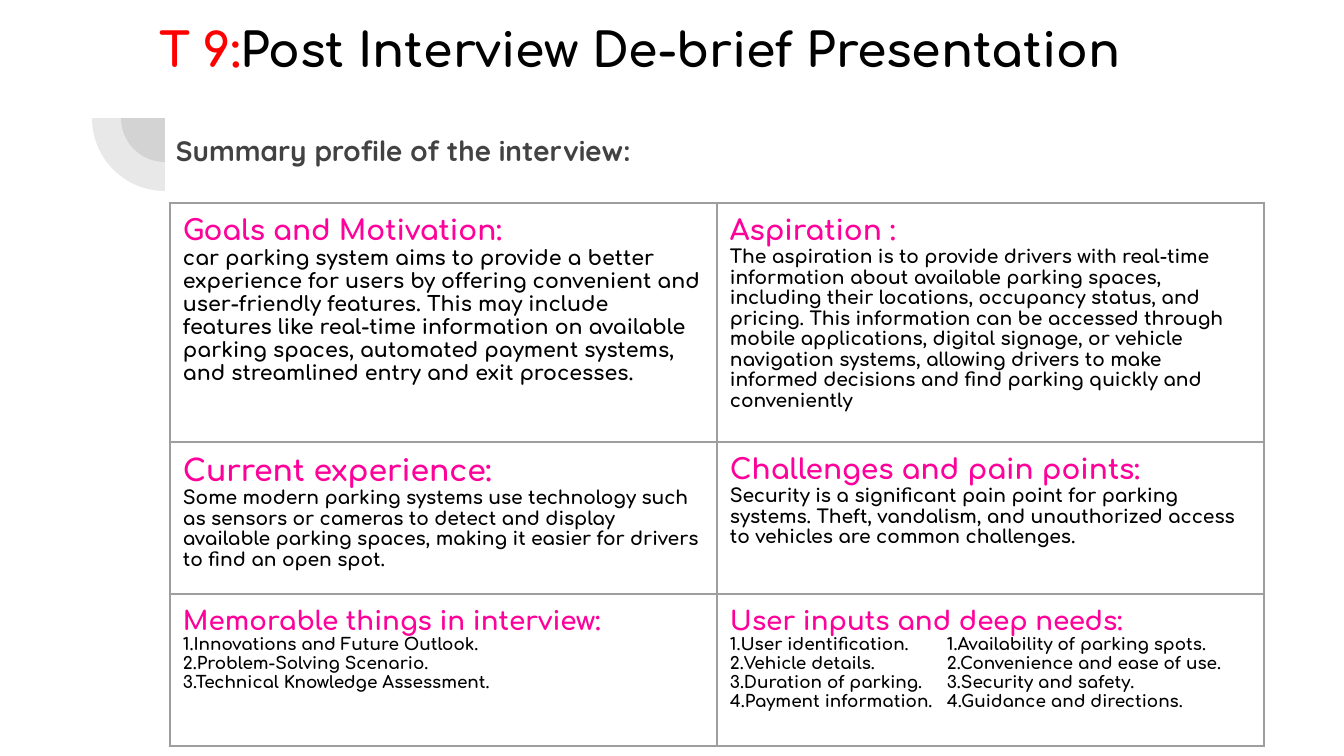
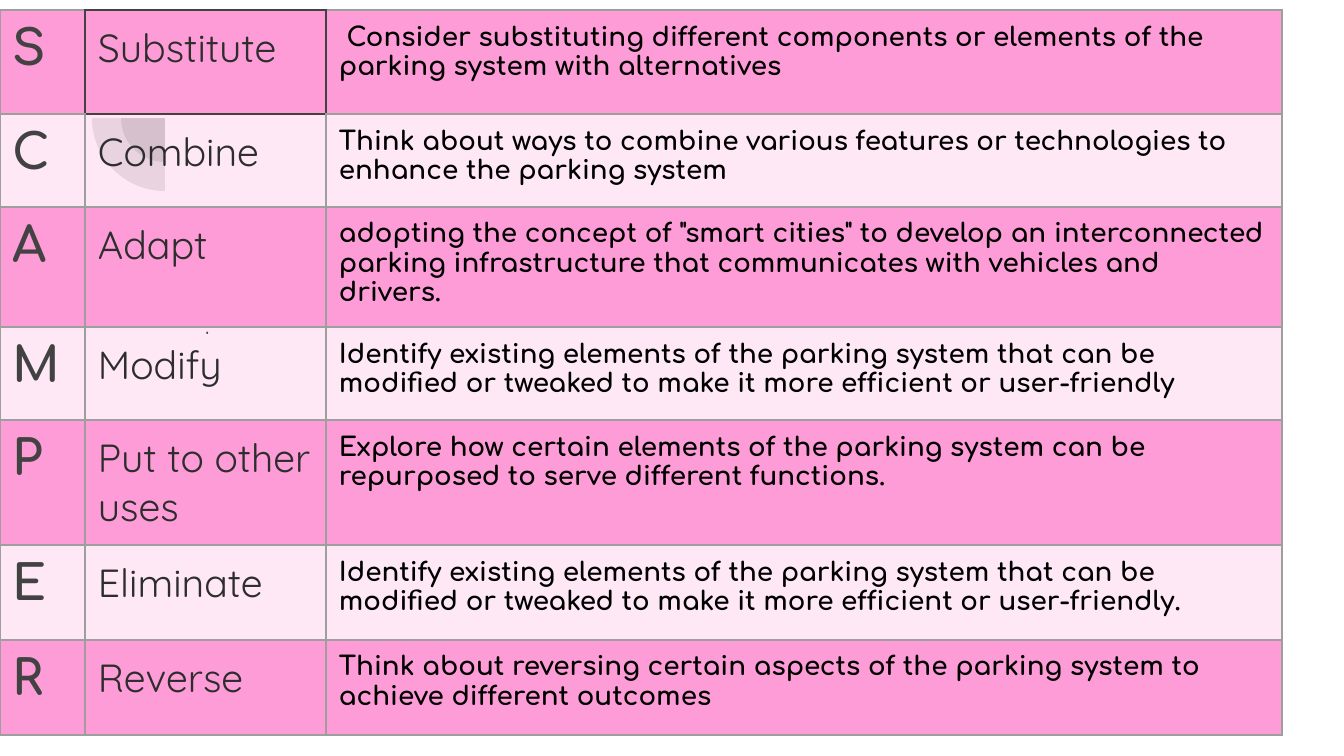
from lxml.etree import SubElement
from pptx import Presentation
from pptx.dml.color import RGBColor
from pptx.enum.shapes import MSO_SHAPE
from pptx.enum.text import MSO_ANCHOR
from pptx.oxml import parse_xml
from pptx.oxml.ns import nsdecls, qn
from pptx.util import Pt

EMU_PER_PX = 914400 / 134.4
PAD = 13
PINK, DARK, INK, GREY = "FE019A", "424242", "2D2D2D", "9E9E9E"
BLACK, RED = "000000", "FF0000"
SIDES = "LRTB"


def px(n):
    return round(n * EMU_PER_PX)


def rgb(value):
    return RGBColor.from_string(value)


def style(size, color, name="Comfortaa", bold=True):
    return {"size": Pt(size), "name": name, "bold": bold, "color": color}


TITLE = style(25.2, BLACK)
TITLE_MARK = style(25.2, RED)
SUBTITLE = style(15, DARK, "Quicksand")
DOT = style(13, DARK, "Quicksand", False)
LETTER = style(26, DARK)
KEYWORD = style(21, INK, "Quicksand", False)
IDEA = style(14, BLACK)


class Deck:
    def __init__(self):
        self.prs = Presentation()
        self.prs.slide_width, self.prs.slide_height = px(1344), px(756)

    def slide(self):
        """Start a blank slide with the two nested quarter rings."""
        self.s = self.prs.slides.add_slide(self.prs.slide_layouts[6])
        for radius in (44, 73):
            self.quarter(165, 118, radius)

    def tint(self, fill, box, color, percent):
        """Fill a shape or cell, whose properties element is box, with a translucent colour."""
        fill.solid()
        fill.fore_color.rgb = rgb(color)
        clr = box.find(f"{qn('a:solidFill')}/{qn('a:srgbClr')}")
        SubElement(clr, qn("a:alpha"), val=str(percent * 1000))

    def quarter(self, cx, cy, radius):
        sp = self.s.shapes.add_shape(MSO_SHAPE.PIE, px(cx - radius), px(cy - radius),
                                     px(2 * radius), px(2 * radius))
        sp.adjustments[0], sp.adjustments[1] = 108, 162
        sp.rotation = 270
        sp.shadow.inherit = False
        sp.line.fill.background()
        self.tint(sp.fill, sp._element.spPr, DARK, 12)

    def paragraphs(self, tf, paragraphs, **layout):
        """Fill a text frame; each paragraph is a list of (text, style) runs."""
        for i, runs in enumerate(paragraphs):
            p = tf.paragraphs[0] if i == 0 else tf.add_paragraph()
            for key, value in layout.items():
                setattr(p, key, value)
            for text, fmt in runs:
                r = p.add_run()
                r.text = text
                for key, value in fmt.items():
                    if key == "color":
                        r.font.color.rgb = rgb(value)
                    else:
                        setattr(r.font, key, value)

    def pad(self, target):
        for side in ("left", "right", "top", "bottom"):
            setattr(target, f"margin_{side}", px(PAD))

    def text(self, x, y, w, h, runs, anchor=MSO_ANCHOR.TOP, **layout):
        tf = self.s.shapes.add_textbox(px(x), px(y), px(w), px(h)).text_frame
        tf.word_wrap = True
        tf.vertical_anchor = anchor
        self.pad(tf)
        self.paragraphs(tf, [runs], **layout)

    def border(self, cell, colors):
        tcPr = cell._tc.get_or_add_tcPr()
        for i, side in enumerate(SIDES):
            tcPr.insert(i, parse_xml(
                f'<a:ln{side} {nsdecls("a")} w="{Pt(0.75)}"><a:solidFill>'
                f'<a:srgbClr val="{colors.get(side, GREY)}"/></a:solidFill></a:ln{side}>'))

    def table(self, x, y, widths, heights, rows, tints=None, dark_edges=None):
        """Draw rows of paragraph lists; tints cycle by row, dark_edges maps (row, col) to sides."""
        tb = self.s.shapes.add_table(len(rows), len(widths), px(x), px(y),
                                     px(sum(widths)), px(sum(heights))).table
        tb.first_row = tb.horz_banding = False
        for col, w in zip(tb.columns, widths):
            col.width = px(w)
        for i, (row, h) in enumerate(zip(rows, heights)):
            tb.rows[i].height = px(h)
            for j, paragraphs in enumerate(row):
                cell = tb.cell(i, j)
                self.pad(cell)
                if tints:
                    self.tint(cell.fill, cell._tc.get_or_add_tcPr(), PINK, tints[i % len(tints)])
                else:
                    cell.fill.background()
                self.border(cell, dict.fromkeys((dark_edges or {}).get((i, j), ""), DARK))
                self.paragraphs(cell.text_frame, paragraphs)
        return tb

    def tab_stop(self, cell, at):
        for p in cell.text_frame.paragraphs:
            tabs = SubElement(p._p.get_or_add_pPr(), qn("a:tabLst"))
            SubElement(tabs, qn("a:tab"), pos=str(px(at)), algn="l")


def topic(heading, heading_size, size, *lines):
    return [[(heading, style(heading_size, PINK))]] + [[(t, style(size, BLACK))] for t in lines]


PROFILE = [
    [topic("Goals and Motivation:", 15, 11,
           "car parking system aims to provide a better experience for users by offering "
           "convenient and user-friendly features. This may include features like real-time "
           "information on available parking spaces, automated payment systems, and "
           "streamlined entry and exit processes."),
     topic("Aspiration :", 15, 10,
           "The aspiration is to provide drivers with real-time information about available "
           "parking spaces, including their locations, occupancy status, and pricing. This "
           "information can be accessed through mobile applications, digital signage, or "
           "vehicle navigation systems, allowing drivers to make informed decisions and find "
           "parking quickly and conveniently")],
    [topic("Current experience:", 16, 10,
           "Some modern parking systems use technology such as sensors or cameras to detect "
           "and display available parking spaces, making it easier for drivers to find an "
           "open spot."),
     topic("Challenges and pain points:", 15, 10,
           "Security is a significant pain point for parking systems. Theft, vandalism, and "
           "unauthorized access to vehicles are common challenges.")],
    [topic("Memorable things in interview:", 14, 9,
           "1.Innovations and Future Outlook.",
           "2.Problem-Solving Scenario.",
           "3.Technical Knowledge Assessment."),
     topic("User inputs and deep needs:", 14, 9,
           "1.User identification.\t1.Availability of parking spots.",
           "2.Vehicle details.\t2.Convenience and ease of use.",
           "3.Duration of parking.\t3.Security and safety.",
           "4.Payment information.\t4.Guidance and directions.")],
]

SCAMPER = [
    ("Substitute", " Consider substituting different components or elements of the parking "
                   "system with alternatives"),
    ("Combine", "Think about ways to combine various features or technologies to enhance the "
                "parking system"),
    ("Adapt", 'adopting the concept of "smart cities" to develop an interconnected parking '
              "infrastructure that communicates with vehicles and drivers."),
    ("Modify", "Identify existing elements of the parking system that can be modified or "
               "tweaked to make it more efficient or user-friendly"),
    ("Put to other uses", "Explore how certain elements of the parking system can be "
                          "repurposed to serve different functions."),
    ("Eliminate", "Identify existing elements of the parking system that can be modified or "
                  "tweaked to make it more efficient or user-friendly."),
    ("Reverse", "Think about reversing certain aspects of the parking system to achieve "
                "different outcomes"),
]


def interview_slide(deck):
    deck.slide()
    deck.text(146, 0, 1034, 97, [("T 9:", TITLE_MARK),
                                 ("Post Interview De-brief Presentation", TITLE)],
              MSO_ANCHOR.MIDDLE)
    deck.text(163, 116, 1102, 632, [("Summary profile of the interview:", SUBTITLE)],
              line_spacing=1.15, space_after=Pt(12))
    tb = deck.table(170, 203, [547] * 2, [222, 152, 152], PROFILE)
    deck.tab_stop(tb.cell(2, 1), 217)


def scamper_slide(deck):
    deck.slide()
    deck.text(192, 293, 1034, 374, [(".", DOT)], line_spacing=1.15)
    rows = [[[[(word[0], LETTER)]], [[(word, KEYWORD)]], [[(idea, IDEA)]]]
            for word, idea in SCAMPER]
    deck.table(0, 10, [85, 241, 956], [104, 93, 114, 93, 125, 95, 95], rows, tints=(39, 9),
               dark_edges={(0, 0): "R", (0, 1): SIDES, (0, 2): "L", (1, 1): "T"})


def main():
    deck = Deck()
    interview_slide(deck)
    scamper_slide(deck)
    deck.prs.save("out.pptx")


if __name__ == "__main__":
    main()
